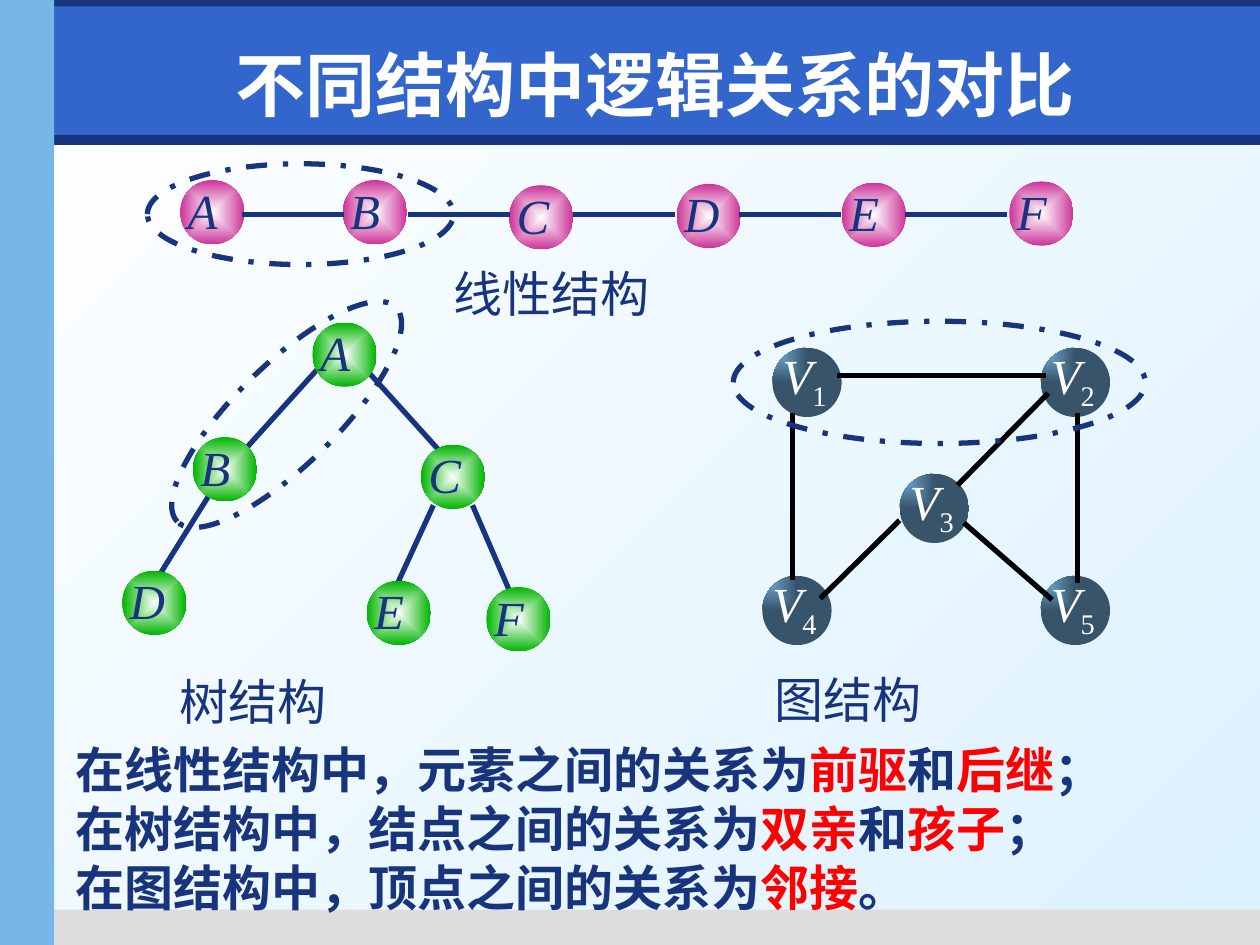
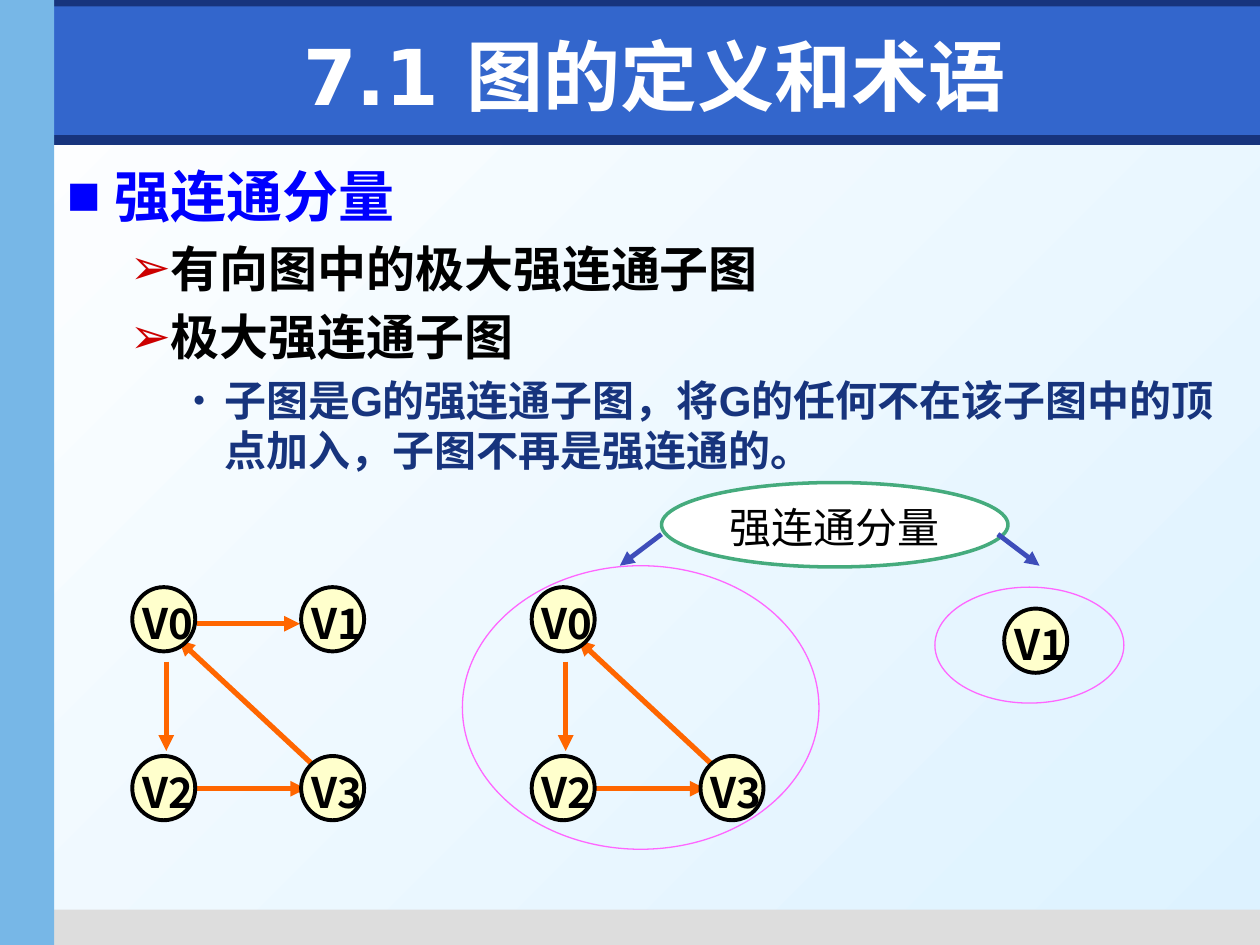
from lxml import etree
from pptx import Presentation
from pptx.dml.color import RGBColor
from pptx.enum.dml import MSO_LINE as Dash
from pptx.enum.shapes import MSO_CONNECTOR as Conn, MSO_SHAPE as Kind
from pptx.enum.text import MSO_ANCHOR as Anchor, MSO_AUTO_SIZE as Fit, PP_ALIGN as Align
from pptx.oxml.ns import qn
from pptx.util import Inches, Pt

NAVY = RGBColor(0x17, 0x34, 0x7D)
ROYAL = RGBColor(0x33, 0x66, 0xCC)
SKY = RGBColor(0x77, 0xB7, 0xE7)
PALE = RGBColor(0xDD, 0xF2, 0xFF)
GREY = RGBColor(0xDD, 0xDD, 0xDD)
SLATE = RGBColor(0x37, 0x54, 0x6A)
PINK = RGBColor(0xCC, 0x33, 0x99)
GREEN = RGBColor(0x00, 0xB4, 0x00)
JADE = RGBColor(0x45, 0xAB, 0x7D)
INDIGO = RGBColor(0x3E, 0x4D, 0xBA)
ORANGE = RGBColor(0xFF, 0x66, 0x00)
CREAM = RGBColor(0xFF, 0xFF, 0xCC)
ROSE = RGBColor(0xFF, 0x66, 0xFF)
RED = RGBColor(0xFF, 0x00, 0x00)
CRIMSON = RGBColor(0xCC, 0x00, 0x00)
BLUE = RGBColor(0x00, 0x00, 0xFF)
BLACK = RGBColor(0x00, 0x00, 0x00)
WHITE = RGBColor(0xFF, 0xFF, 0xFF)

HAN, ROMAN, SANS, WIDE = "Noto Sans CJK SC", "Times New Roman", "Arial", "DejaVu Sans"
W, H = 10, 7.5

BANDS = [
    ((0.04, 1.07, W, 0.08), NAVY),
    ((0.35, 7.22, 9.65, 0.28), GREY),
    ((0, -0.03, W, 0.24), NAVY),
    ((0.43, 0.05, 9.57, 1.02), ROYAL),
    ((0, 0, 0.43, H), SKY),
]

RULES = [
    [("在线性结构中，元素之间的关系为", NAVY), ("前驱", RED), ("和", NAVY), ("后继", RED), ("；", NAVY)],
    [("在树结构中，结点之间的关系为", NAVY), ("双亲", RED), ("和", NAVY), ("孩子", RED), ("；", NAVY)],
    [("在图结构中，顶点之间的关系为", NAVY), ("邻接", RED), ("。", NAVY)],
]
CHAIN = {"A": (1.43, 1.43), "B": (2.72, 1.43), "C": (4.04, 1.47),
         "D": (5.37, 1.46), "E": (6.68, 1.45), "F": (8.01, 1.44)}
LINKS = [(1.92 + 1.315 * i, 1.7, 2.73 + 1.315 * i, 1.7) for i in range(5)]
TREE = {"A": (2.48, 2.56), "B": (1.53, 3.47), "C": (3.34, 3.53),
        "D": (0.97, 4.53), "E": (2.91, 4.61), "F": (3.86, 4.66)}
LIMBS = [(2.52, 2.93, 1.96, 3.55), (2.93, 2.96, 3.49, 3.58), (1.66, 3.93, 1.28, 4.54),
         (3.44, 4.01, 3.16, 4.62), (3.75, 4.01, 4.04, 4.68)]
WEB = {"1": (6.13, 2.76), "2": (8.26, 2.76), "3": (7.14, 3.76), "4": (6.05, 4.57), "5": (8.26, 4.57)}
EDGES = [(6.64, 2.98, 8.3, 2.98), (7.14, 4.13, 6.51, 4.75), (8.55, 3.28, 8.55, 4.63),
         (8.32, 3.12, 7.6, 3.85), (7.65, 4.15, 8.35, 4.76), (6.29, 3.28, 6.29, 4.6)]
NAMES = [("线性结构", 3.5, 2), ("树结构", 1.33, 5.24), ("图结构", 6.05, 5.23)]
RINGS = [((1.17, 1.3, 2.43, 0.8), 0), ((1.06, 2.89, 2.43, 0.8), 315.6), ((5.82, 2.55, 3.27, 0.97), 0)]

POINTS = [
    ("强连通分量", 0),
    ("有向图中的极大强连通子图", 1),
    ("极大强连通子图", 1),
    ("子图是G的强连通子图，将G的任何不在该子图中的顶点加入，子图不再是强连通的。", 2),
]
LEVELS = [
    dict(size=32, color=BLUE, mark="■", tint=BLUE, left=0.38, hang=0.38, share=100),
    dict(size=28, color=BLACK, mark="➢", tint=CRIMSON, left=0.81, hang=0.31, share=100),
    dict(size=24, color=NAVY, mark="●", tint=NAVY, left=1.25, hang=0.25, share=50),
]
STEP = 1.34
SPOTS = {"V0": (0, 0), "V1": (1, 0), "V2": (0, 1), "V3": (1, 1)}
DOWN, BASE, TOP, BACK = ((0.27, 0.59, 0.27, 1.3), (0.51, 1.6, 1.38, 1.6),
                         (0.51, 0.29, 1.33, 0.29), (1.53, 1.5, 0.37, 0.42))
GRAPHS = [
    ((1.05, 4.66), ["V0", "V1", "V2", "V3"], [DOWN, BASE, TOP, BACK]),
    ((4.22, 4.66), ["V0", "V2", "V3"], [DOWN, BASE, BACK]),
]
LOOPS = [(3.67, 4.49, 2.83, 2.25), (7.42, 4.66, 1.5, 0.92)]
POINTERS = [(5.25, 4.24, 4.92, 4.49), (7.92, 4.24, 8.25, 4.49)]


def box(*nums):
    return [Inches(n) for n in nums]


def add(parent, tag, **attrs):
    return etree.SubElement(parent, qn(tag), {k: str(v) for k, v in attrs.items()})


def write(para, text, size=28, font=SANS, color=NAVY, bold=False, italic=False,
          line=None, before=None, align=None, base=0, glow=False):
    if line:
        para.line_spacing = Pt(round(size * line, 1))
    if before is not None:
        para.space_before = Pt(before)
    if align is not None:
        para.alignment = align
    run = para.add_run()
    run.text = text
    face = run.font
    face.size, face.name, face.bold, face.italic = Pt(size), font, bold, italic
    face.color.rgb = color
    props = run._r.get_or_add_rPr()
    if base:
        props.set("baseline", str(base * 1000))
    if glow:
        fx = etree.Element(qn("a:effectLst"))
        shade = add(fx, "a:outerShdw", dist=35921, dir=2700000)
        add(shade, "a:srgbClr", val=GREY)
        props.find(qn("a:solidFill")).addnext(fx)
    props.find(qn("a:latin")).addnext(etree.Element(qn("a:ea"), typeface=HAN))


def label(slide, area, pad=None, wrap=True):
    frame = slide.shapes.add_textbox(*box(*area)).text_frame
    frame.word_wrap = wrap
    if pad:
        frame.margin_left, frame.margin_top, frame.margin_right, frame.margin_bottom = box(*pad)
    return frame


def blend(fill, first, last):
    fill.gradient()
    for stop, tone in zip(fill.gradient_stops, (first, last)):
        stop.color.rgb = tone


def draw(slide, area, kind=Kind.OVAL, fill=None, edge=None, width=1, dash=None, turn=0):
    part = slide.shapes.add_shape(kind, *box(*area))
    part.shadow.inherit = False
    part.rotation = turn
    if fill is None:
        part.fill.background()
    else:
        part.fill.solid()
        part.fill.fore_color.rgb = fill
    if edge is None:
        part.line.fill.background()
    else:
        part.line.color.rgb = edge
        part.line.width = Pt(width)
        if dash:
            part.line.dash_style = dash
    return part


def ball(slide, x, y, size, inner, outer, path, focus):
    part = draw(slide, (x, y, size, size))
    blend(part.fill, inner, outer)
    lin = part.element.spPr.find(".//" + qn("a:lin"))
    shape = etree.Element(qn("a:path"), path=path)
    add(shape, "a:fillToRect", **dict(zip("ltrb", (n * 1000 for n in focus))))
    lin.getparent().replace(lin, shape)


def join(slide, ends, color, width=3, arrow=False):
    wire = slide.shapes.add_connector(Conn.STRAIGHT, *box(*ends))
    wire.line.color.rgb = color
    wire.line.width = Pt(width)
    if arrow:
        add(wire.line._get_or_add_ln(), "a:tailEnd", type="triangle")
    add(wire.element.spPr, "a:effectLst")


def head(slide, text, area, anchor, **fmt):
    title = slide.shapes.title
    title.left, title.top, title.width, title.height = box(*area)
    frame = title.text_frame
    frame.auto_size = Fit.NONE
    frame.vertical_anchor = anchor
    write(frame.paragraphs[0], text, color=WHITE, bold=True, line=1.3, **fmt)


def dress(deck, slide):
    master = deck.slide_master
    fill = master.background.fill
    blend(fill, WHITE, PALE)
    fill.gradient_angle = 315
    for i, (area, tone) in enumerate(BANDS):
        band = draw(slide, area, Kind.RECTANGLE, tone).element
        band.nvSpPr.cNvPr.set("id", str(90 + i))
        master.element.cSld.spTree.insert(2 + i, band)


def letters(slide, nodes, tone):
    for name, (x, y) in nodes.items():
        ball(slide, x, y, 0.51, WHITE, tone, "shape", (50, 50, 50, 50))
        frame = label(slide, (x + 0.06, y - 0.04, 0.43, 0.67), (0, 0.04, 0, 0))
        write(frame.paragraphs[0], name, font=ROMAN, italic=True)


def compare(slide):
    frame = label(slide, (0.5, 5.82, 8.99, 1.5))
    for i, rule in enumerate(RULES):
        para = frame.add_paragraph() if i else frame.paragraphs[0]
        for text, tone in rule:
            write(para, text, font=HAN, color=tone, bold=True, line=1.2)
    letters(slide, CHAIN, PINK)
    for ends in LINKS:
        join(slide, ends, NAVY)
    for ends in LIMBS:
        join(slide, ends, NAVY)
    letters(slide, TREE, GREEN)
    for x, y in WEB.values():
        ball(slide, x, y, 0.55, SKY, SLATE, "rect", (0, 0, 100, 100))
    for ends in EDGES:
        join(slide, ends, BLACK)
    for name, (x, y) in WEB.items():
        para = label(slide, (x + 0.07, y - 0.05, 0.51, 0.65), (0.01, 0.03, 0, 0.01)).paragraphs[0]
        write(para, "V", font=ROMAN, color=WHITE, italic=True, align=Align.JUSTIFY)
        write(para, name, font=ROMAN, color=WHITE, base=-25)
    for name, x, y in NAMES:
        write(label(slide, (x, y, 2.77, 0.57)).paragraphs[0], name, line=1.3)
    for area, turn in RINGS:
        draw(slide, area, edge=NAVY, width=3, dash=Dash.DASH_DOT, turn=turn)
    head(slide, "不同结构中逻辑关系的对比", (1.77, 0.22, 7.02, 0.77), Anchor.TOP,
         size=40, font=ROMAN, align=Align.LEFT, glow=True)


def bullets(slide):
    body = slide.placeholders[1]
    body.left, body.top, body.width, body.height = box(0.43, 1.23, 9.37, 5.9)
    frame = body.text_frame
    frame.auto_size = Fit.NONE
    for i, (text, level) in enumerate(POINTS):
        look = LEVELS[level]
        size = look["size"]
        para = frame.add_paragraph() if i else frame.paragraphs[0]
        para.level = level
        write(para, text, size=size, color=look["color"], bold=True, line=1.2, before=size * 0.2)
        props = para._p.get_or_add_pPr()
        props.set("marL", str(Inches(look["left"])))
        props.set("indent", str(-Inches(look["hang"])))
        add(add(props, "a:buClr"), "a:srgbClr", val=look["tint"])
        add(props, "a:buSzPct", val=look["share"] * 1000)
        add(props, "a:buFont", typeface=SANS)
        add(props, "a:buChar", char=look["mark"])


def vertex(slide, name, x, y):
    draw(slide, (x, y, 0.5, 0.51), fill=CREAM, edge=BLACK, width=2.25)
    frame = label(slide, (x - 0.05, y, 0.71, 0.5), (0.13, 0.05, 0, 0.05), wrap=False)
    write(frame.paragraphs[0], name, size=24, font=HAN, color=BLACK, bold=True, line=1.3)


def define(slide):
    head(slide, "7.1 图的定义和术语", (0.59, 0.13, 9.21, 0.87), Anchor.MIDDLE,
         size=44, font=WIDE, align=Align.CENTER)
    bullets(slide)
    cloud = draw(slide, (5.25, 3.83, 2.75, 0.67), fill=WHITE, edge=JADE, width=2)
    cloud.text_frame.word_wrap = False
    cloud.text_frame.vertical_anchor = Anchor.MIDDLE
    write(cloud.text_frame.paragraphs[0], "强连通分量", size=24, color=BLACK, line=1.3, align=Align.CENTER)
    for ends in POINTERS:
        join(slide, ends, INDIGO, 2.75, True)
    for (x, y), names, edges in GRAPHS:
        for a, b, c, d in edges:
            join(slide, (x + a, y + b, x + c, y + d), ORANGE, arrow=True)
        for name in names:
            col, row = SPOTS[name]
            vertex(slide, name, x + col * STEP, y + row * STEP)
    vertex(slide, "V1", 7.97, 4.83)
    for area in LOOPS:
        draw(slide, area, edge=ROSE, width=0.75)


def main():
    deck = Presentation()
    deck.slide_width, deck.slide_height = box(W, H)
    first = deck.slides.add_slide(deck.slide_layouts[5])
    dress(deck, first)
    compare(first)
    define(deck.slides.add_slide(deck.slide_layouts[1]))
    deck.save("out.pptx")


if __name__ == "__main__":
    main()
